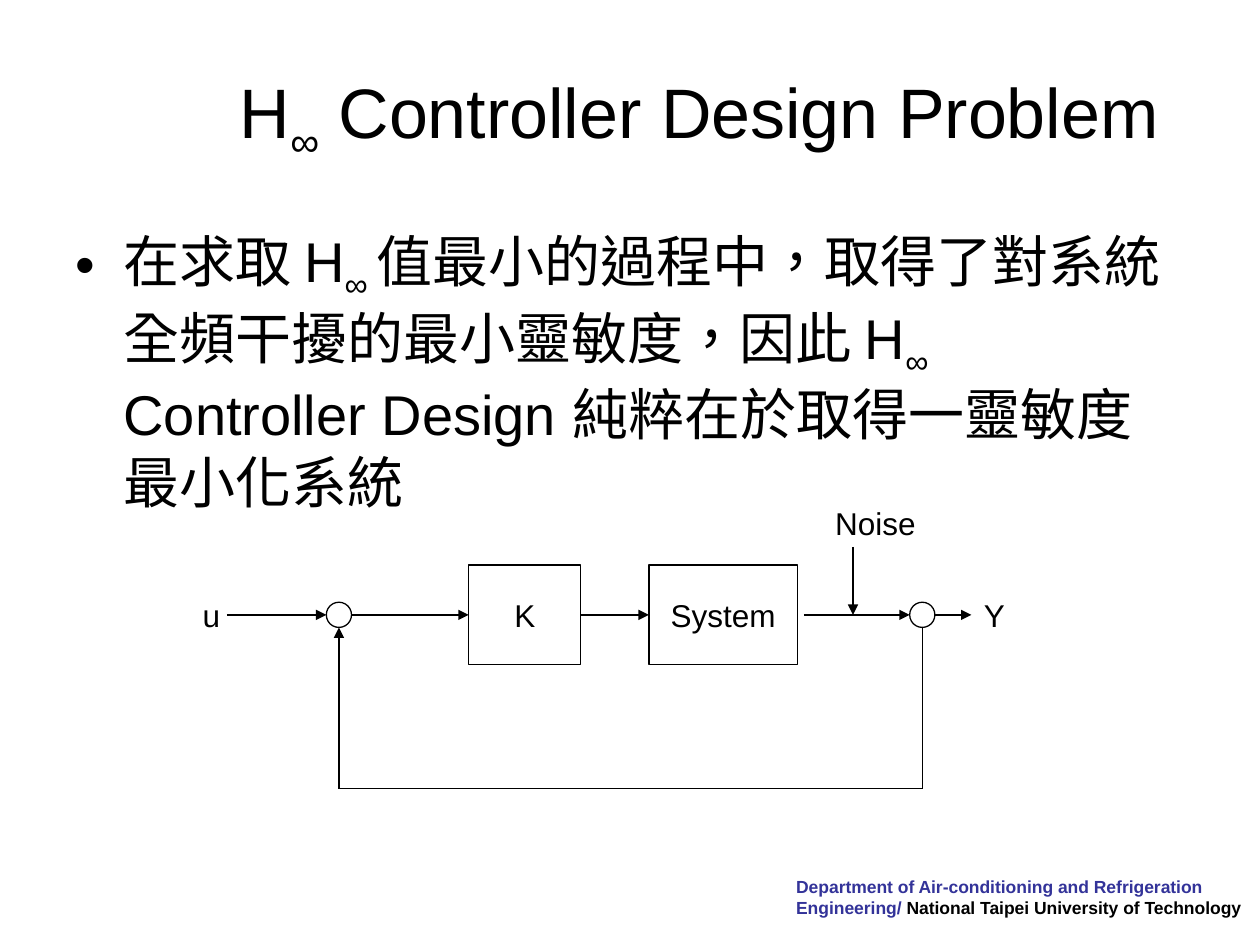
from pptx import Presentation
from pptx.dml.color import RGBColor
from pptx.enum.shapes import MSO_CONNECTOR as CONN, MSO_SHAPE as SHAPE
from pptx.enum.text import MSO_ANCHOR as ANCHOR, MSO_AUTO_SIZE as FIT, PP_ALIGN as ALIGN
from pptx.oxml.ns import qn
from pptx.util import Inches, Pt
from lxml.etree import SubElement

BLACK, WHITE, NAVY = "000000", "FFFFFF", "333399"
AXIS_Y, FEEDBACK_Y = 4.88, 6.26
SUM_X, OUT_X, NOISE_X = 2.69, 7.32, 6.77
RADIUS, BLOCK_H = 0.1, 0.79


def rgb(value):
    """Turn a hex string into a colour."""
    return RGBColor.from_string(value)


def add_run(p, text, size, color=BLACK, bold=False, sub=False):
    """Append one formatted run, optionally as a subscript."""
    r = p.add_run()
    r.text = text
    r.font.name, r.font.size, r.font.bold = "Arial", Pt(size), bold
    r.font.color.rgb = rgb(color)
    rPr = r._r.get_or_add_rPr()
    rPr.set("lang", "zh-TW")
    if sub:
        rPr.set("baseline", "-25000")


def place(sp, x, y, w, h):
    """Move and size a shape."""
    sp.left, sp.top, sp.width, sp.height = map(Inches, (x, y, w, h))


def fill_placeholder(sp, box, parts, size, anchor, align):
    """Place a placeholder and fill it, with every second part as a subscript."""
    place(sp, *box)
    tf = sp.text_frame
    tf.word_wrap, tf.auto_size, tf.vertical_anchor = True, FIT.NONE, anchor
    p = tf.paragraphs[0]
    p.alignment, p.space_before = align, Pt(0)
    for i, text in enumerate(parts):
        add_run(p, text, size, sub=i % 2 == 1)
    return p


def add_bullet(p, indent):
    """Give a paragraph a round bullet and a hanging indent."""
    pPr = p._p.get_or_add_pPr()
    pPr.set("marL", str(Inches(indent)))
    pPr.set("indent", str(-Inches(indent)))
    SubElement(pPr, qn("a:buFont"), typeface="Arial")
    SubElement(pPr, qn("a:buChar"), char="•")


def add_text(s, x, y, w, h):
    """Add a wrapping text box and return its paragraph."""
    tf = s.shapes.add_textbox(*map(Inches, (x, y, w, h))).text_frame
    tf.word_wrap = True
    return tf.paragraphs[0]


def add_outline(s, kind, x, y, w, h):
    """Add a white shape with a thin black line."""
    sp = s.shapes.add_shape(kind, *map(Inches, (x, y, w, h)))
    sp.shadow.inherit = False
    sp.fill.solid()
    sp.fill.fore_color.rgb = rgb(WHITE)
    sp.line.color.rgb = rgb(BLACK)
    sp.line.width = Pt(0.75)
    return sp


def add_block(s, text, x, w):
    """Add a labelled block centred on the signal axis."""
    sp = add_outline(s, SHAPE.RECTANGLE, x, AXIS_Y - BLOCK_H / 2, w, BLOCK_H)
    tf = sp.text_frame
    tf.word_wrap, tf.vertical_anchor = False, ANCHOR.MIDDLE
    p = tf.paragraphs[0]
    p.alignment = ALIGN.CENTER
    add_run(p, text, 18)


def add_line(s, x1, y1, x2, y2, arrow=True):
    """Add a thin black line, with an arrowhead at its end if asked."""
    c = s.shapes.add_connector(CONN.STRAIGHT, *map(Inches, (x1, y1, x2, y2)))
    c.line.color.rgb = rgb(BLACK)
    c.line.width = Pt(0.75)
    if arrow:
        SubElement(c.line._get_or_add_ln(), qn("a:tailEnd"), type="triangle")
    SubElement(c._element.spPr, qn("a:effectLst"))


def add_diagram(s):
    """Draw the feedback loop with its blocks, sums, signals and labels."""
    add_block(s, "K", 3.72, 0.89)
    add_block(s, "System", 5.15, 1.18)
    for x in (SUM_X, OUT_X):
        add_outline(s, SHAPE.OVAL, x - RADIUS, AXIS_Y - RADIUS, 2 * RADIUS, 2 * RADIUS)
    signals = [(1.8, SUM_X - RADIUS), (SUM_X + RADIUS, 3.72), (4.61, 5.15),
               (6.38, OUT_X - RADIUS), (OUT_X + RADIUS, 7.71)]
    for x1, x2 in signals:
        add_line(s, x1, AXIS_Y, x2, AXIS_Y)
    add_line(s, NOISE_X, 4.34, NOISE_X, AXIS_Y)
    add_line(s, OUT_X, AXIS_Y + RADIUS, OUT_X, FEEDBACK_Y, arrow=False)
    add_line(s, OUT_X, FEEDBACK_Y, SUM_X, FEEDBACK_Y, arrow=False)
    add_line(s, SUM_X, FEEDBACK_Y, SUM_X, AXIS_Y + RADIUS)
    for text, x, y, w in [("u", 1.51, 4.68, 0.47), ("Y", 7.71, 4.68, 0.57),
                          ("Noise", 6.53, 3.95, 1.13)]:
        add_run(add_text(s, x, y, w, 0.4), text, 18)


def add_footer(s):
    """Add the department and university line."""
    p = add_text(s, 6.22, 6.9, 3.78, 0.44)
    add_run(p, "Department of Air-conditioning and Refrigeration", 10, NAVY, True)
    p.add_line_break()
    add_run(p, "Engineering/ ", 10, NAVY, True)
    add_run(p, "National Taipei University of Technology", 10, BLACK, True)


def main():
    """Build the slide and save it."""
    prs = Presentation()
    prs.slide_width, prs.slide_height = Inches(10), Inches(7.5)
    s = prs.slides.add_slide(prs.slide_layouts[1])
    add_footer(s)
    fill_placeholder(s.shapes.title, (1.6, 0.3, 7.9, 1.25),
                     ["H", "∞", " Controller Design Problem"],
                     40, ANCHOR.MIDDLE, ALIGN.CENTER)
    p = fill_placeholder(s.placeholders[1], (0.5, 1.75, 9, 4.95),
                         ["在求取 H", "∞ ",
                          "值最小的過程中，取得了對系統全頻干擾的最小靈敏度，因此 H", "∞",
                          " Controller Design 純粹在於取得一靈敏度最小化系統"],
                         32, ANCHOR.TOP, ALIGN.LEFT)
    add_bullet(p, 0.38)
    add_diagram(s)
    prs.save("out.pptx")


if __name__ == "__main__":
    main()
